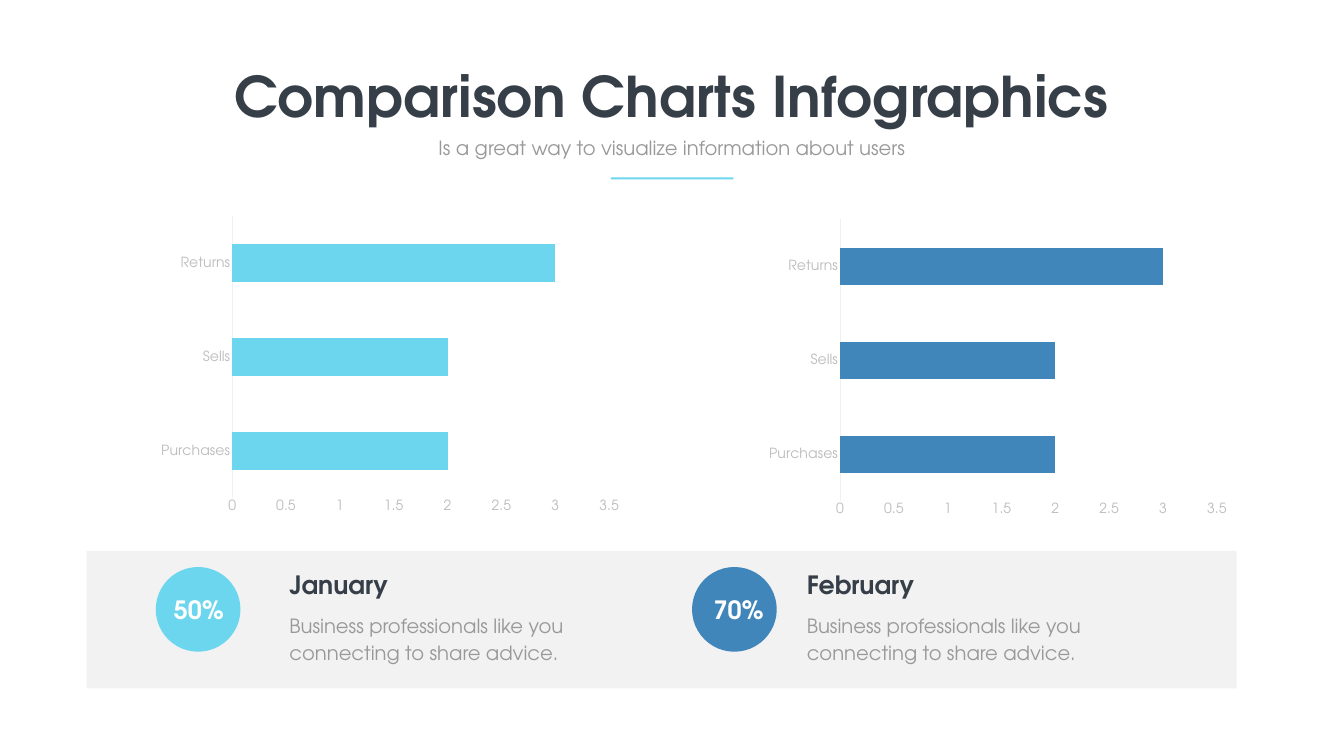
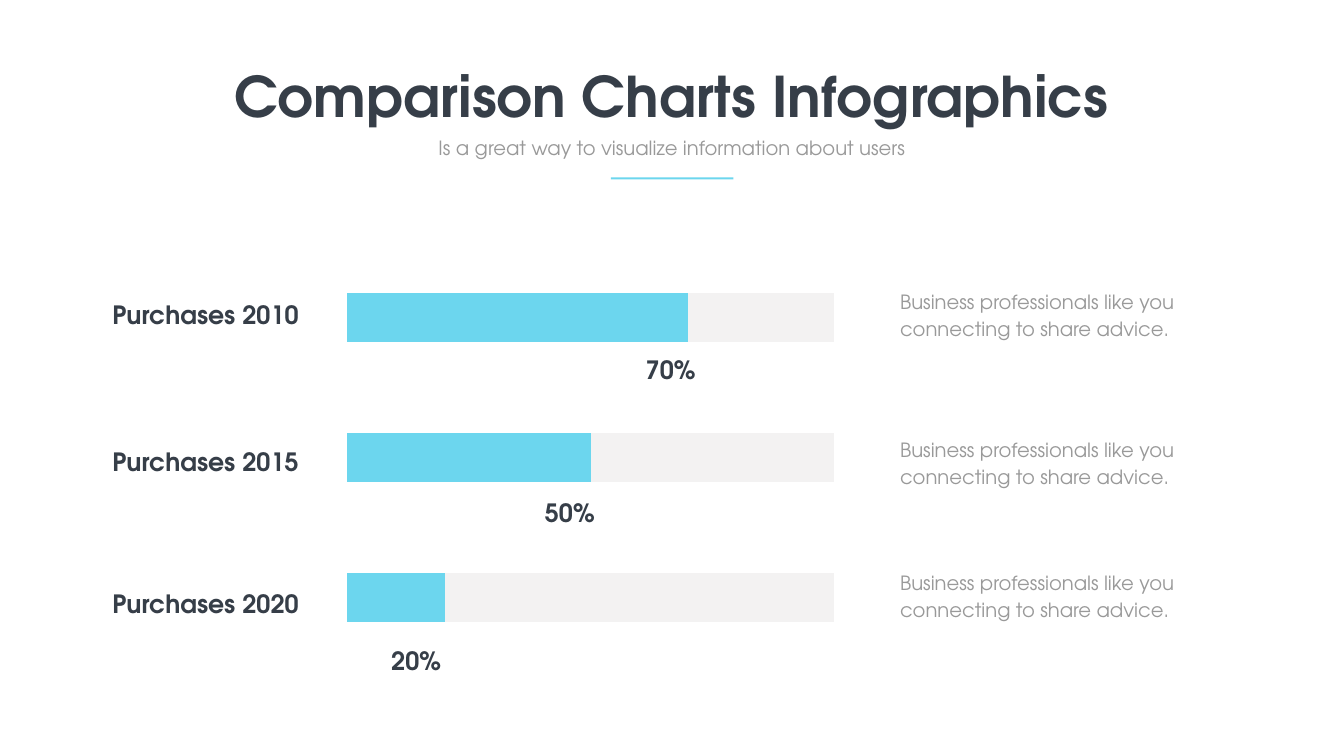
from dataclasses import dataclass

from pptx import Presentation
from pptx.chart import data as chart_data
from pptx.dml.color import RGBColor
from pptx.enum import chart as charts, shapes, text
from pptx.util import Pt


@dataclass(frozen=True)
class Theme:
    font: str = "TeX Gyre Adventor"
    plain_font: str = "Calibri"
    dark: str = "363E48"
    gray: str = "999999"
    axis_text: str = "BDBDBD"
    axis_line: str = "F0F0F0"
    panel: str = "F2F2F2"
    track: str = "F3F2F2"
    cyan: str = "6CD6EE"
    blue: str = "4186BA"
    white: str = "FFFFFF"
    title_size: int = 80
    heading_size: int = 36
    body_size: int = 28
    axis_size: int = 20
    small_size: int = 10
    body_leading: float = 38.6


THEME = Theme()
LEFT, CENTER, RIGHT = text.PP_ALIGN.LEFT, text.PP_ALIGN.CENTER, text.PP_ALIGN.RIGHT

TITLE = "Comparison Charts Infographics"
SUBTITLE = "Is a great way to visualize information about users"
ADVICE = "Business professionals like you connecting to share advice."

ACTIVITY = {"Purchases": 2, "Sells": 2, "Returns": 3}
MONTHS = [
    dict(name="January", share="50%", color=THEME.cyan,
         kind=charts.XL_CHART_TYPE.BAR_STACKED, chart_at=(216.7, 300.2),
         circle_x=222.5, share_x=241.2, text_x=406.4),
    dict(name="February", share="70%", color=THEME.blue,
         kind=charts.XL_CHART_TYPE.BAR_CLUSTERED, chart_at=(1085, 304.6),
         circle_x=988.6, share_x=1012.3, text_x=1145.5),
]
# name, percent, top of name, (right edge, top) of percent, top of advice
YEARS = [
    ("Purchases 2010", 70, 423.4, (1000.8, 502.6), 406),
    ("Purchases 2015", 50, 634.3, (856.8, 707), 617),
    ("Purchases 2020", 20, 837.4, (637.2, 918.7), 807),
]


def rgb(color):
    return RGBColor.from_string(color)


def set_font(font, size, color, bold=False, name=THEME.font):
    values = dict(size=Pt(size), bold=bold, name=name)
    for attribute, value in values.items():
        setattr(font, attribute, value)
    font.color.rgb = rgb(color)


def write(shape, words, size, color, bold=False, align=LEFT, wrap=True, leading=None):
    frame = shape.text_frame
    values = dict(text=words, word_wrap=wrap, auto_size=text.MSO_AUTO_SIZE.NONE,
                  vertical_anchor=text.MSO_ANCHOR.TOP)
    for attribute, value in values.items():
        setattr(frame, attribute, value)
    paragraph = frame.paragraphs[0]
    paragraph.alignment = align
    if leading:
        paragraph.line_spacing = Pt(leading)
    set_font(paragraph.runs[0].font, size, color, bold)


def add_text(slide, box, words, size, color, **options):
    write(slide.shapes.add_textbox(*map(Pt, box)), words, size, color, **options)


def add_heading(slide, box, words, color=THEME.dark, **options):
    add_text(slide, box, words, THEME.heading_size, color, bold=True, **options)


def add_advice(slide, left, top, width):
    add_text(slide, (left, top, width, 85), ADVICE, THEME.body_size, THEME.gray,
             leading=THEME.body_leading)


def add_block(slide, kind, box, color):
    shape = slide.shapes.add_shape(kind, *map(Pt, box))
    shape.shadow.inherit = False
    shape.fill.solid()
    shape.fill.fore_color.rgb = rgb(color)
    shape.line.fill.background()


def add_bars(slide, kind, box, categories, series, gap, size, font_name, stacked=True):
    """Add a plain bar chart; series is a list of (values, color)."""
    data = chart_data.CategoryChartData()
    data.categories = categories
    for number, (values, _) in enumerate(series, 1):
        data.add_series(f"Series {number}", values)
    chart = slide.shapes.add_chart(kind, *map(Pt, box), data).chart
    chart.has_title = chart.has_legend = False
    set_font(chart.font, size, THEME.gray, name=font_name)
    plot = chart.plots[0]
    plot.vary_by_categories = False
    plot.gap_width = gap
    if stacked:
        plot.overlap = 100
    for bars, (_, color) in zip(plot.series, series):
        bars.format.fill.solid()
        bars.format.fill.fore_color.rgb = rgb(color)
    for axis in (chart.category_axis, chart.value_axis):
        axis.has_major_gridlines = False
        axis.major_tick_mark = axis.minor_tick_mark = charts.XL_TICK_MARK.NONE
    return chart


def add_titled_slide(presentation):
    slide = presentation.slides.add_slide(presentation.slide_layouts[5])
    title = slide.shapes.title
    for side, value in dict(left=321.8, top=84.2, width=1275.1, height=104.4).items():
        setattr(title, side, Pt(value))
    write(title, TITLE, THEME.title_size, THEME.dark, bold=True, align=CENTER, wrap=False)
    add_text(slide, (615.6, 190.8, 688.3, 41), SUBTITLE, THEME.body_size, THEME.gray,
             align=CENTER)
    add_block(slide, shapes.MSO_SHAPE.RECTANGLE, (872.6, 253.4, 175, 2.9), THEME.cyan)
    return slide


def add_month_slide(presentation):
    slide = add_titled_slide(presentation)
    add_block(slide, shapes.MSO_SHAPE.RECTANGLE, (123.8, 787, 1643, 196.6), THEME.panel)
    for month in MONTHS:
        color = month["color"]
        chart = add_bars(slide, month["kind"], (*month["chart_at"], 681.1, 442.1),
                         list(ACTIVITY), [(list(ACTIVITY.values()), color)],
                         150, THEME.axis_size, THEME.font,
                         stacked=month["kind"] == charts.XL_CHART_TYPE.BAR_STACKED)
        for axis in (chart.category_axis, chart.value_axis):
            set_font(axis.tick_labels.font, THEME.axis_size, THEME.axis_text)
        line = chart.category_axis.format.line
        line.color.rgb = rgb(THEME.axis_line)
        line.width = Pt(0.75)
        scale = chart.value_axis
        scale.format.line.fill.background()
        for attribute, value in dict(minimum_scale=0, maximum_scale=3.5,
                                     major_unit=0.5).items():
            setattr(scale, attribute, value)

        add_block(slide, shapes.MSO_SHAPE.OVAL, (month["circle_x"], 810, 121, 121), color)
        add_heading(slide, (month["share_x"], 846, 96.5, 52.6), month["share"], THEME.white)
        add_heading(slide, (month["text_x"], 810, 344.2, 51), month["name"])
        add_advice(slide, month["text_x"], 869, 491.8)


def add_year_slide(presentation):
    slide = add_titled_slide(presentation)
    percents = [year[1] for year in reversed(YEARS)]
    chart = add_bars(slide, charts.XL_CHART_TYPE.BAR_STACKED_100,
                     (481.7, 341.3, 724.3, 625), ["1", "2", "3"],
                     [(percents, THEME.cyan),
                      ([100 - percent for percent in percents], THEME.track)],
                     182, THEME.small_size, THEME.plain_font)
    chart.category_axis.visible = chart.value_axis.visible = False
    for name, percent, name_top, (right, percent_top), advice_top in YEARS:
        add_heading(slide, (153.4, name_top, 337, 51), name)
        add_heading(slide, (right - 86.4, percent_top, 86.4, 51), f"{percent}%",
                    align=RIGHT, wrap=False)
        add_advice(slide, 1278.7, advice_top, 486)


def main():
    presentation = Presentation()
    presentation.slide_width, presentation.slide_height = Pt(1920), Pt(1080)
    add_month_slide(presentation)
    add_year_slide(presentation)
    presentation.save("out.pptx")


if __name__ == "__main__":
    main()
